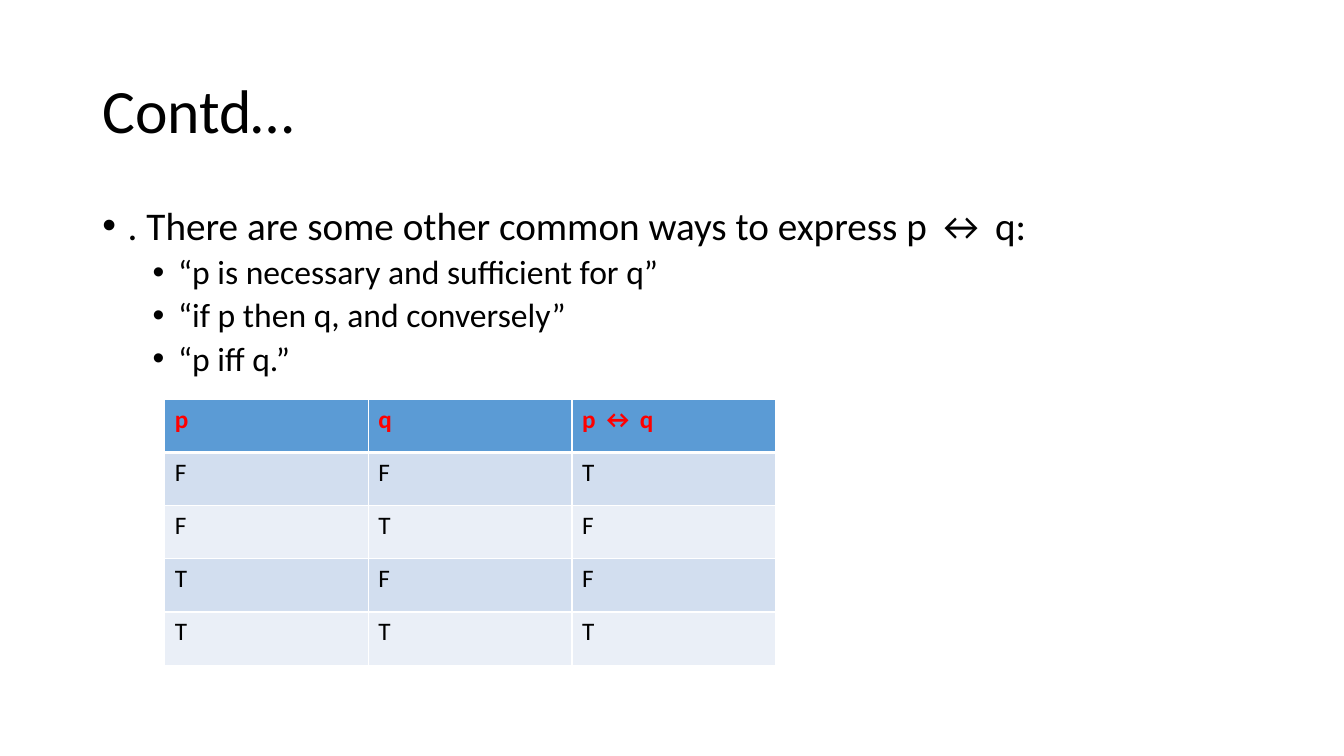
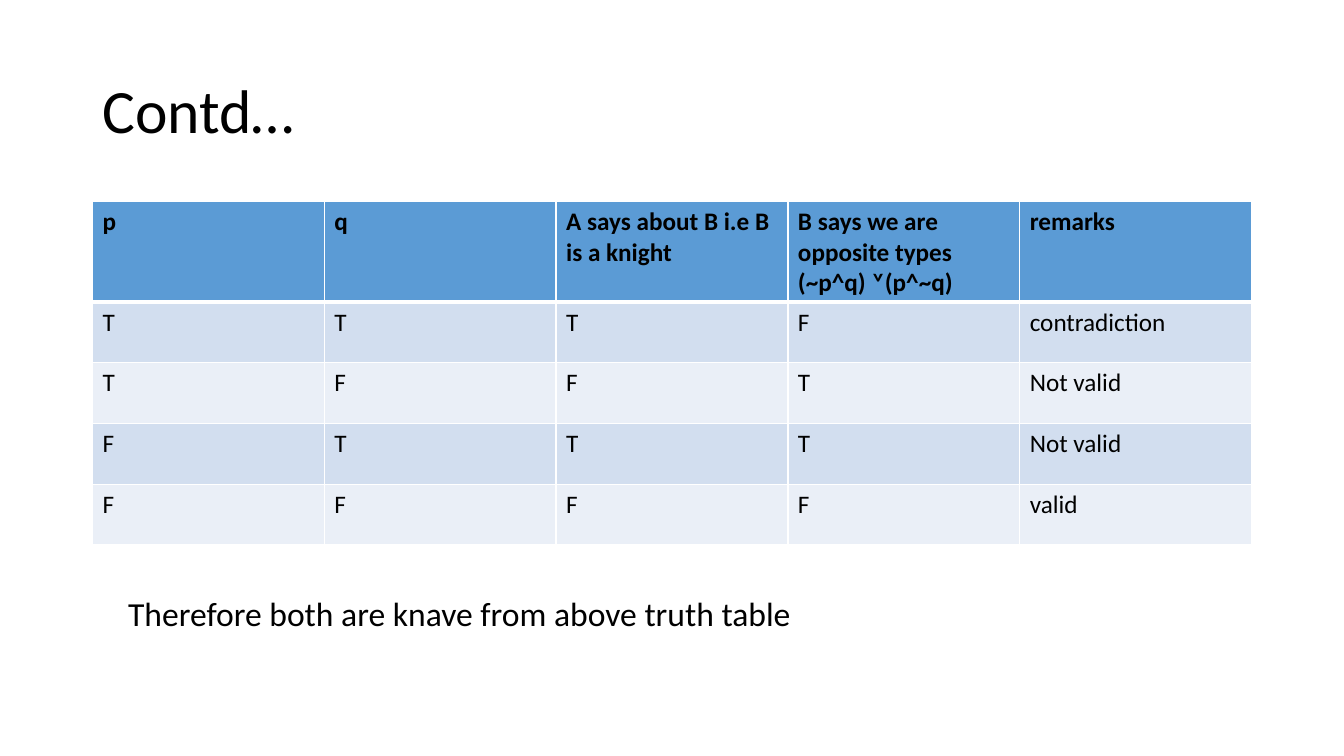
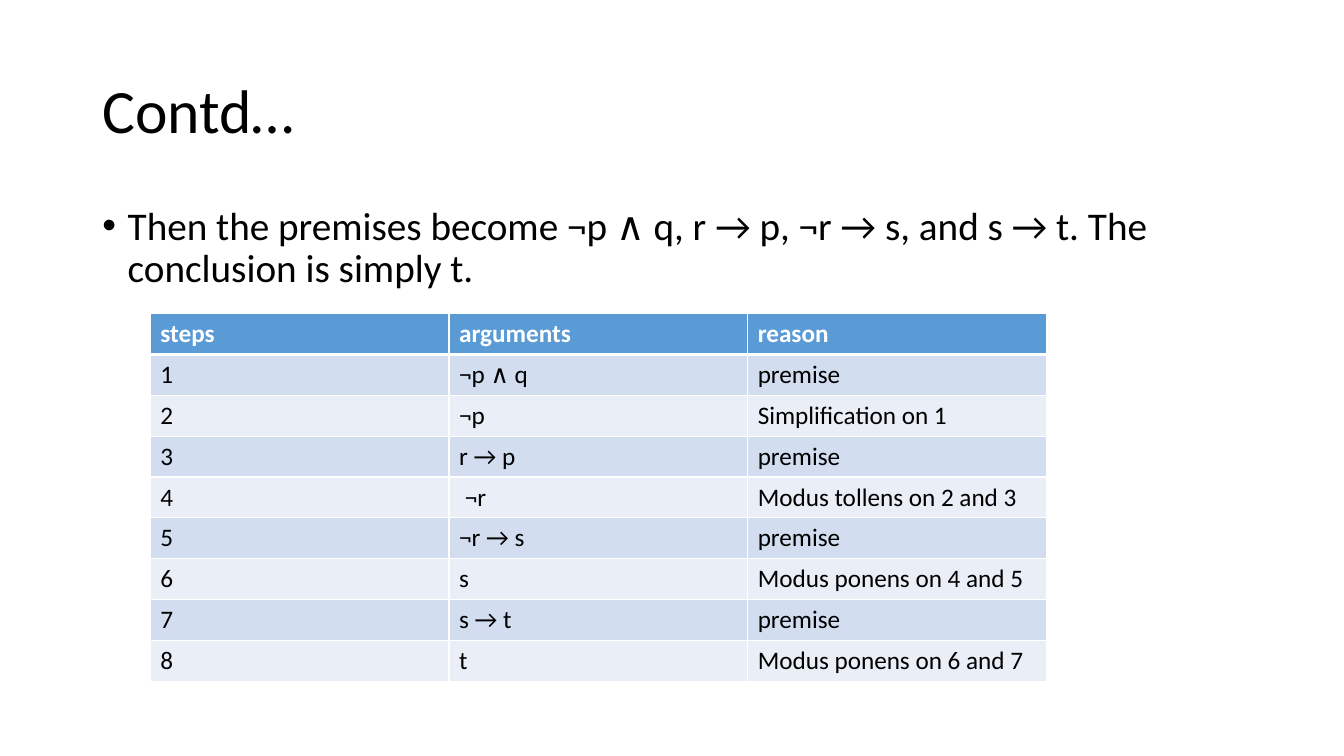
from lxml import etree
from pptx import Presentation
from pptx import util as u
from pptx.dml.color import RGBColor
from pptx.enum import text
from pptx.oxml.ns import qn

FONT = "Calibri"
COLORS = {
    "ink": "000000",
    "white": "FFFFFF",
    "red": "FF0000",
    "header": "5B9BD5",
    "band_dark": "D2DEEF",
    "band_light": "EAEFF7",
}
TITLE_BOX = (2.33, 1.01, 29.21, 3.68)
BODY_BOX = (2.33, 5.07, 29.21, 12.09)
# level: (text size, left margin in cm, space before in points)
LEVELS = {0: (28, 0.64, 10), 1: (24, 1.91, 5)}
HANGING = 0.64


def rgb(name):
    return RGBColor.from_string(COLORS[name])


def write(p, content, size=18, color="ink", bold=False):
    r = p.add_run()
    r.text = content
    r.font.name = FONT
    r.font.size = u.Pt(size)
    r.font.bold = bold
    r.font.color.rgb = rgb(color)


def add_text_frame(s, box, anchor=text.MSO_ANCHOR.TOP):
    tf = s.shapes.add_textbox(*map(u.Cm, box)).text_frame
    tf.word_wrap = True
    tf.vertical_anchor = anchor
    return tf


def add_title(s, content):
    p = add_text_frame(s, TITLE_BOX, text.MSO_ANCHOR.MIDDLE).paragraphs[0]
    p.line_spacing = 0.9
    write(p, content, size=44)


def set_bullet(p, margin):
    pPr = p._p.get_or_add_pPr()
    pPr.set("marL", str(u.Cm(margin)))
    pPr.set("indent", str(-u.Cm(HANGING)))
    etree.SubElement(pPr, qn("a:buFont"), typeface="Arial")
    etree.SubElement(pPr, qn("a:buChar"), char="•")


def add_bullets(s, items):
    """Fill the body area from (level, text) pairs."""
    tf = add_text_frame(s, BODY_BOX)
    for i, (level, content) in enumerate(items):
        p = tf.add_paragraph() if i else tf.paragraphs[0]
        size, margin, before = LEVELS[level]
        p.line_spacing = 0.9
        p.space_before = u.Pt(before)
        set_bullet(p, margin)
        write(p, content, size=size)


def set_borders(cell, top, bottom):
    """Draw white borders, 1 pt at the sides."""
    tcPr = cell._tc.get_or_add_tcPr()
    widths = {"a:lnL": 1, "a:lnR": 1, "a:lnT": top, "a:lnB": bottom}
    for i, (tag, width) in enumerate(widths.items()):
        ln = etree.Element(qn(tag), w=str(u.Pt(width)))
        fill = etree.SubElement(ln, qn("a:solidFill"))
        etree.SubElement(fill, qn("a:srgbClr"), val=COLORS["white"])
        tcPr.insert(i, ln)


def add_banded_table(s, left, top, width, row_height, rows, header_color="ink"):
    n_rows, n_cols = len(rows), len(rows[0])
    table = s.shapes.add_table(n_rows, n_cols, u.Cm(left), u.Cm(top),
                               u.Cm(width), u.Cm(row_height * n_rows)).table
    for i, row in enumerate(rows):
        is_header = i == 0
        band = "header" if is_header else "band_dark" if i % 2 else "band_light"
        for j, content in enumerate(row):
            cell = table.cell(i, j)
            cell.fill.solid()
            cell.fill.fore_color.rgb = rgb(band)
            set_borders(cell, top=3 if i == 1 else 1, bottom=3 if is_header else 1)
            tf = cell.text_frame
            for k, line in enumerate(content.split("\n")):
                p = tf.add_paragraph() if k else tf.paragraphs[0]
                write(p, line, bold=is_header,
                      color=header_color if is_header else "ink")


def build_biconditional(s):
    add_bullets(s, [
        (0, ". There are some other common ways to express p ↔ q:"),
        (1, "“p is necessary and sufficient for q”"),
        (1, "“if p then q, and conversely”"),
        (1, "“p iff q.”"),
    ])
    add_banded_table(s, 4.15, 10.06, 15.4, 1.34, [
        ("p", "q", "p ↔ q"),
        *("FFT", "FTF", "TFF", "TTT"),
    ], header_color="red")


def build_knights(s):
    add_banded_table(s, 2.33, 5.07, 29.21, 1.53, [
        ("p", "q", "A says about B i.e B is a knight",
         "B says we are opposite types\n(~p^q) ˅(p^~q)", "remarks"),
        (*"TTTF", "contradiction"),
        (*"TFFT", "Not valid"),
        (*"FTTT", "Not valid"),
        (*"FFFF", "valid"),
    ])
    tf = add_text_frame(s, (2.98, 14.81, 19.76, 1.28))
    write(tf.paragraphs[0], "Therefore both are knave from above truth table", size=24)


def build_argument(s):
    add_bullets(s, [(0, "Then the premises become ¬p ∧ q, r → p, ¬r → s, and s → t. "
                        "The conclusion is simply t.")])
    steps = [
        ("¬p ∧ q", "premise"),
        ("¬p", "Simplification on 1"),
        ("r → p", "premise"),
        (" ¬r", "Modus tollens on 2 and 3"),
        ("¬r → s", "premise"),
        ("s", "Modus ponens on 4 and 5"),
        ("s → t", "premise"),
        ("t", "Modus ponens on 6 and 7"),
    ]
    add_banded_table(s, 3.79, 7.9, 22.58, 1.03, [
        ("steps", "arguments", "reason"),
        *((str(n), *step) for n, step in enumerate(steps, 1)),
    ], header_color="white")


def main():
    prs = Presentation()
    prs.slide_width, prs.slide_height = u.Cm(33.87), u.Cm(19.05)
    for build in (build_biconditional, build_knights, build_argument):
        s = prs.slides.add_slide(prs.slide_layouts[6])
        add_title(s, "Contd…")
        build(s)
    prs.save("out.pptx")


if __name__ == "__main__":
    main()
